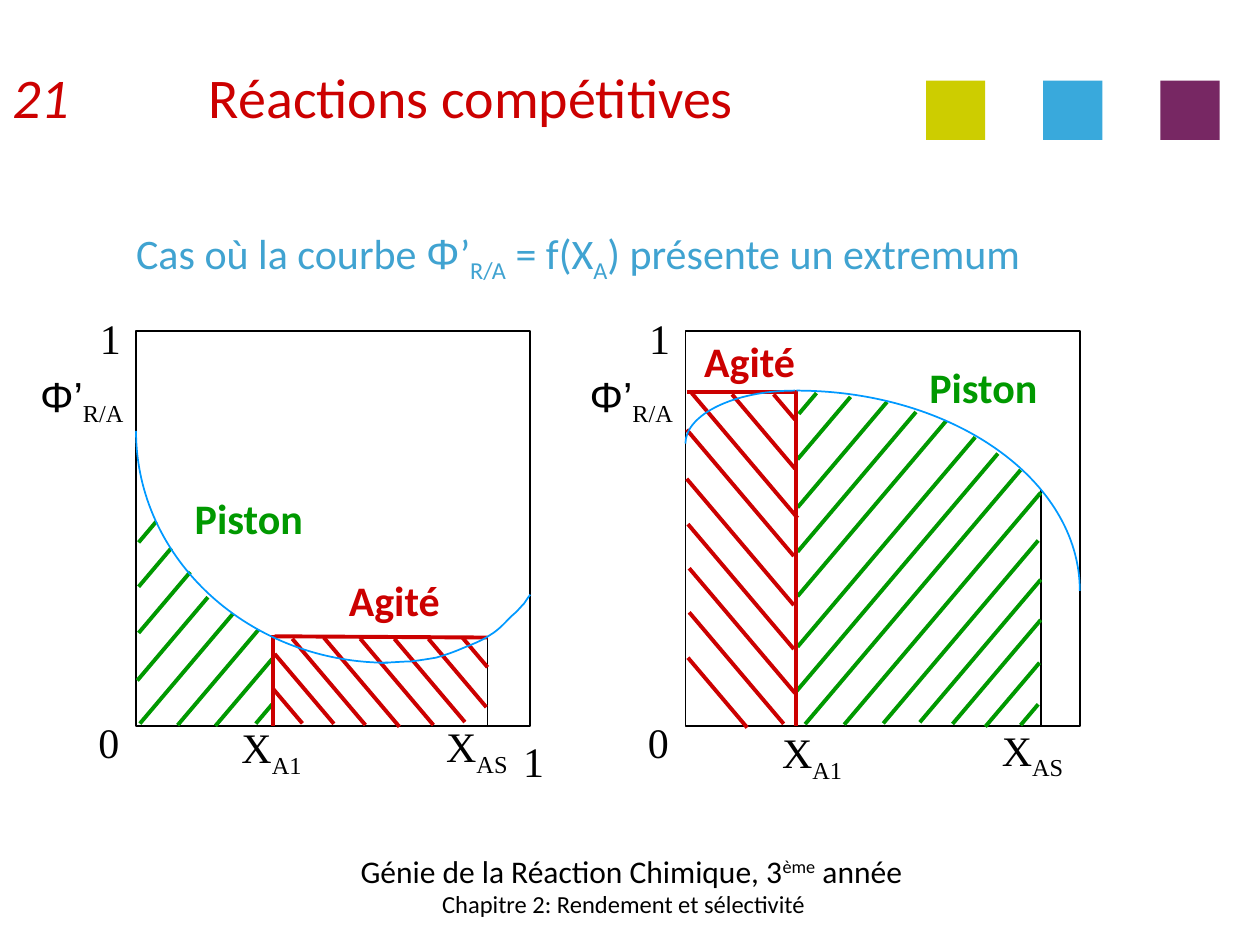
from lxml.etree import SubElement
from pptx import Presentation
from pptx.dml.color import RGBColor
from pptx.enum.shapes import MSO_CONNECTOR, MSO_SHAPE
from pptx.enum.text import MSO_ANCHOR, MSO_AUTO_SIZE, PP_ALIGN
from pptx.oxml.ns import qn
from pptx.util import Inches, Pt

BLACK, WHITE, RED, GREEN = "000000", "FFFFFF", "CC0000", "009900"
BLUE, CURVE = "40A3D1", "0099FF"
SIDE, SLOPE = 3.13, 1.18
TIMES = {"name": "Times New Roman", "size": Pt(24)}
BOLD = {"name": "Calibri", "size": Pt(24), "bold": True}
TITLE = {"name": "Calibri", "size": Pt(32)}
HEAD = {"name": "Calibri", "size": Pt(24)}
SUB = -25000

LEFT = {
    "fill": WHITE,
    "green": [(.16, 1.51, -.14), (.28, 1.72, -.26), (.43, 1.91, -.41),
              (.57, 2.11, -.56), (.77, 2.24, -.74), (.97, 2.37, -.64),
              (1.08, 2.6, -.45), (1.08, 2.96, -.13)],
    "red": [(1.09, 2.84, .23), (1.1, 2.56, .47), (1.24, 2.44, .58),
            (1.49, 2.43, .6), (1.78, 2.44, .58), (2.05, 2.44, .56),
            (2.32, 2.44, .46), (2.59, 2.43, .2)],
    "curves": [
        [(2, 2.63), (.9, 2.63), (0, 1.81), (0, .79)],
        [(1.93, 2.63), (2.02, 2.63), (2.11, 2.62), (2.18, 2.62),
         (2.26, 2.61), (2.32, 2.6), (2.38, 2.59),
         (2.45, 2.57), (2.51, 2.55), (2.58, 2.52),
         (2.65, 2.49), (2.74, 2.46), (2.81, 2.41),
         (2.88, 2.37), (2.94, 2.3), (2.98, 2.26),
         (3.03, 2.22), (3.05, 2.19), (3.08, 2.16),
         (3.1, 2.13), (3.12, 2.1), (3.13, 2.09)]],
    "edges": [(1.1, 2.42, 2.79, 2.43), (1.09, 2.41, 1.09, 3.13)],
    "limit": (2.79, 3.12, 2.79, 2.42),
    "names": [("Piston", GREEN, .31, 1.23, 1.17), ("Agité", RED, 1.53, 1.88, 1.04)],
    "ticks": [("X", "AS", 2.34, 3.04, .73), ("X", "A1", .72, 3.05, .71),
              ("1", "", 2.97, 3.16, .37)],
}
RIGHT = {
    "fill": None,
    "green": [(1.04, .49, -.14), (1.31, .52, -.42), (1.6, .56, -.71),
              (1.83, .64, -.94), (2.07, .71, -1.18), (2.3, .84, -1.41),
              (2.48, .97, -1.61), (2.66, 1.1, -1.71), (2.82, 1.28, -1.56),
              (2.8, 1.66, -1.23), (2.82, 1.97, -.96), (2.82, 2.29, -.7),
              (2.81, 2.63, -.43), (2.8, 2.96, -.14)],
    "red": [(.02, 2.59, .47), (.03, 2.23, .75), (.03, 1.88, .84),
            (.02, 1.53, .84), (.01, 1.17, .85), (.01, .78, .85),
            (.05, .49, .84), (.37, .5, .5), (.7, .5, .17)],
    "curves": [[(.88, .47), (2.12, .47), (3.13, 1.18), (3.13, 2.06)],
               [(.87, .47), (.39, .47), (0, .66), (0, .89)]],
    "edges": [(.01, .48, .89, .48), (.88, .47, .88, 3.13)],
    "limit": (2.82, 3.12, 2.82, 1.25),
    "names": [("Piston", GREEN, 1.78, .19, 1.17), ("Agité", RED, -.01, -.02, 1.04)],
    "ticks": [("X", "AS", 2.39, 3.07, .73), ("X", "A1", .65, 3.09, .71)],
}


def tint(fill, code):
    """Give a fill a solid hex colour, or none."""
    if code is None:
        fill.background()
    else:
        fill.solid()
        fill.fore_color.rgb = RGBColor.from_string(code)


def write(para, runs, code):
    """Add (text, font values, baseline) runs to a paragraph."""
    for words, values, base in runs:
        run = para.add_run()
        run.text = words
        for key, value in values.items():
            setattr(run.font, key, value)
        tint(run.font.fill, code)
        if base:
            run.font._element.set("baseline", str(base))


def label(area, box, runs, code=BLACK, anchor=MSO_ANCHOR.TOP):
    """Place one centred line of text that does not wrap."""
    frame = area.shapes.add_textbox(*map(Inches, box)).text_frame
    frame.word_wrap = False
    frame.vertical_anchor = anchor
    para = frame.paragraphs[0]
    para.alignment = PP_ALIGN.CENTER
    write(para, runs, code)


def stroke(area, ends, code, width):
    """Draw a straight line without shadow."""
    line = area.shapes.add_connector(MSO_CONNECTOR.STRAIGHT, *map(Inches, ends))
    tint(line.line.fill, code)
    line.line.width = Pt(width)
    SubElement(line._element.spPr, qn("a:effectLst"))


def bend(area, left, top, chain):
    """Draw a chain of cubic curves relative to a plot corner."""
    first, *rest = [(Inches(left + x), Inches(top + y)) for x, y in chain]
    maker = area.shapes.build_freeform(*first)
    maker.add_line_segments(rest, close=False)
    shape = maker.convert_to_shape()
    shape.shadow.inherit = False
    tint(shape.fill, None)
    tint(shape.line.fill, CURVE)
    shape.line.width = Pt(1)
    route = next(shape._element.iter(qn("a:path")))
    steps = route.findall(qn("a:lnTo"))
    for i in range(0, len(steps), 3):
        cubic = SubElement(route, qn("a:cubicBezTo"))
        for step in steps[i:i + 3]:
            cubic.append(step[0])
            route.remove(step)


def plot(slide, left, top, data):
    """Draw one yield plot with hatched areas, curves and labels."""
    area = slide.shapes.add_group_shape()
    frame = area.shapes.add_shape(MSO_SHAPE.RECTANGLE,
                                  *map(Inches, (left, top, SIDE, SIDE)))
    frame.shadow.inherit = False
    tint(frame.fill, data["fill"])
    tint(frame.line.fill, BLACK)
    frame.line.width = Pt(1)

    lines = [(data["limit"], BLACK, 1)]
    for key, code in (("green", GREEN), ("red", RED)):
        lines += [((x, y, x + run, y + SLOPE * abs(run)), code, 2.25)
                  for x, y, run in data[key]]
    lines += [(ends, RED, 2.25) for ends in data["edges"]]
    for (x1, y1, x2, y2), code, width in lines:
        stroke(area, (left + x1, top + y1, left + x2, top + y2), code, width)
    for chain in data["curves"]:
        bend(area, left, top, chain)

    for name, code, x, y, width in data["names"]:
        label(area, (left + x, top + y, width, .5), [(name, BOLD, 0)], code)
    shared = [("0", "", -.4, 3.01, .37), ("1", "", -.39, -.2, .37),
              ("Φ’", "R/A", -.9, .26, .94)]
    for main, low, x, y, width in shared + data["ticks"]:
        font = {**TIMES, "name": "Arial"} if main == "Φ’" else TIMES
        runs = [(main, font, 0)] + ([(low, TIMES, SUB)] if low else [])
        label(area, (left + x, top + y, width, .5), runs)


def header(slide, left, top, width, height):
    """Place the page number and the chapter heading."""
    shape = slide.shapes.add_textbox(*map(Inches, (left, top, width, height)))
    frame = shape.text_frame
    frame.word_wrap = True
    frame.vertical_anchor = MSO_ANCHOR.MIDDLE
    para = frame.paragraphs[0]
    props = para._p.get_or_add_pPr()
    props.set("marL", str(Inches(1.46)))
    props.set("indent", str(Inches(-1.46)))
    tabs = SubElement(props, qn("a:tabLst"))
    SubElement(tabs, qn("a:tab"), pos=str(Inches(.83)), algn="l")
    write(para, [("21", {**TITLE, "italic": True}, 0),
                 ("\t Réactions compétitives", TITLE, 0)], RED)


def heading(slide, left, top, width, height):
    """Fill the title placeholder with the case studied."""
    shape = slide.shapes.title
    box = {"left": left, "top": top, "width": width, "height": height}
    for key, value in box.items():
        setattr(shape, key, Inches(value))
    frame = shape.text_frame
    frame.auto_size = MSO_AUTO_SIZE.NONE
    frame.vertical_anchor = MSO_ANCHOR.BOTTOM
    frame.margin_bottom = Inches(.12)
    para = frame.paragraphs[0]
    para.alignment = PP_ALIGN.LEFT
    para._p.get_or_add_pPr().set("marL", str(Inches(.6)))
    write(para, [("Cas où la courbe ", HEAD, 0), ("Φ", {**HEAD, "name": "Arial"}, 0),
                 ("’", HEAD, 0), ("R/A", HEAD, SUB), (" = f(X", HEAD, 0),
                 ("A", HEAD, SUB), (") présente un extremum", HEAD, 0)], BLUE)


def squares(slide, left, top, size, pitch):
    """Place the row of coloured squares."""
    for i, code in enumerate(("CDCD00", "39A9DC", "772763")):
        shape = slide.shapes.add_shape(
            MSO_SHAPE.RECTANGLE, *map(Inches, (left + i * pitch, top, size, size)))
        shape.shadow.inherit = False
        tint(shape.fill, code)
        tint(shape.line.fill, None)


def footer(slide, left, top, width):
    """Place the course and chapter lines."""
    large = {"name": "Calibri", "size": Pt(18)}
    small = {"name": "Calibri", "size": Pt(14)}
    rows = [(.06, 0, [("Génie de la Réaction Chimique, 3", large, 0),
                      ("ème", large, 30000), (" année", large, 0)]),
            (0, .26, [("Chapitre 2: Rendement et sélectivité", small, 0)])]
    for x, y, runs in rows:
        label(slide, (left + x, top + y, width, .5), runs, anchor=MSO_ANCHOR.MIDDLE)


def main():
    """Build and save the slide."""
    deck = Presentation()
    deck.slide_width, deck.slide_height = Inches(10), Inches(7.5)
    slide = deck.slides.add_slide(deck.slide_layouts[5])
    squares(slide, 7.35, .64, .47, .93)
    footer(slide, 2.66, 6.66, 4.58)
    heading(slide, .38, 1.13, 8.5, 1.25)
    plot(slide, 1.08, 2.63, LEFT)
    plot(slide, 5.44, 2.63, RIGHT)
    header(slide, 0, .14, 7.55, 1.25)
    deck.save("out.pptx")


if __name__ == "__main__":
    main()
